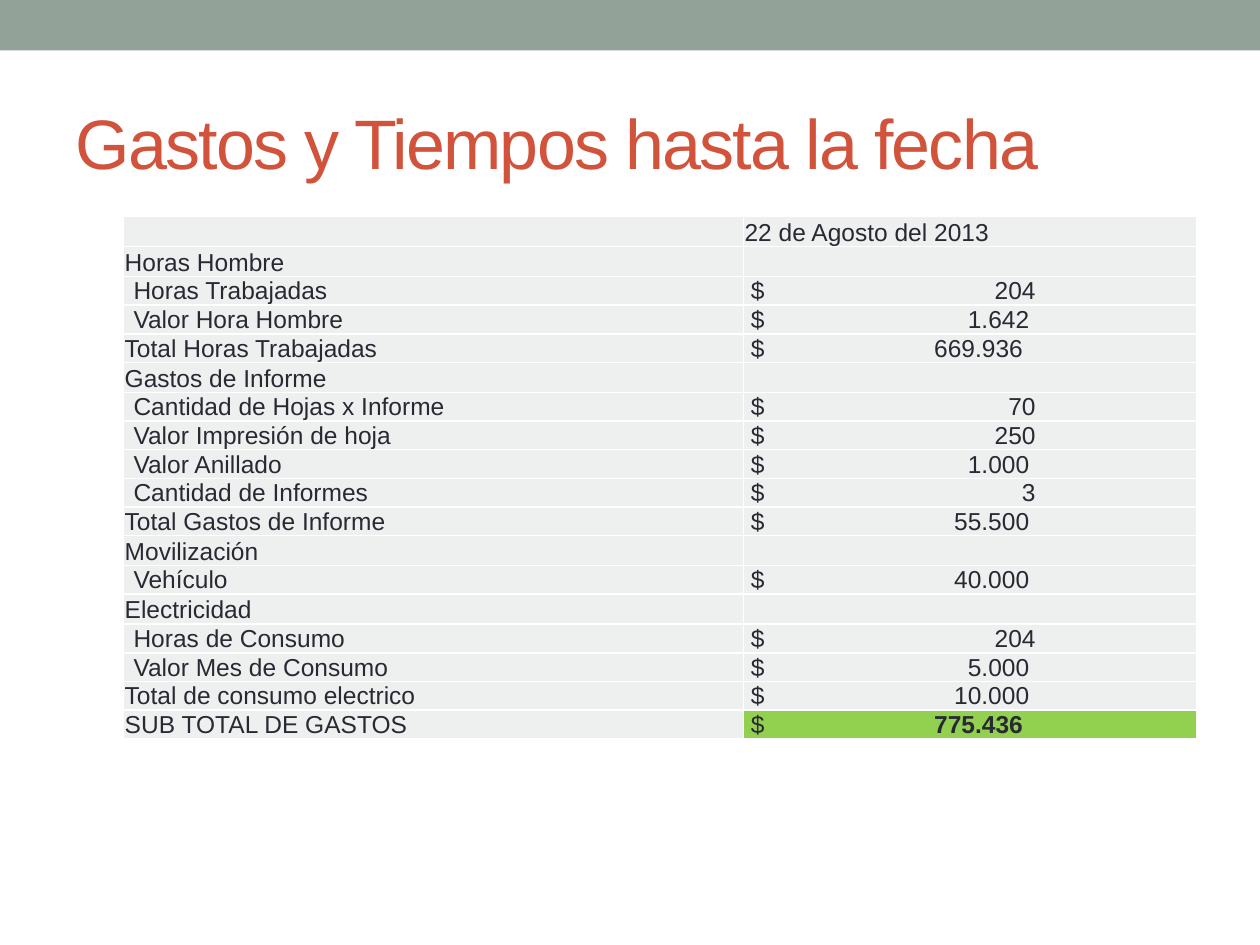
import pptx
import pptx.dml.color
import pptx.enum.shapes
import pptx.enum.text
import pptx.oxml.ns
import pptx.util
from lxml import etree

Inches = pptx.util.Inches
Pt = pptx.util.Pt
qn = pptx.oxml.ns.qn


def color(hex_string):
    return pptx.dml.color.RGBColor.from_string(hex_string)


class ExpenseSlide:
    font = "Arial"
    bar = "93A299"
    accent = "D2533C"
    ink = "292934"
    cell_fill = "EEF0EF"
    highlight = "92D050"
    border = "FFFFFF"
    size = 14

    def __init__(self, prs):
        self.slide = prs.slides.add_slide(prs.slide_layouts[5])

    def add_bar(self, left, top, width, height):
        sp = self.slide.shapes.add_shape(
            pptx.enum.shapes.MSO_SHAPE.RECTANGLE,
            Inches(left), Inches(top), Inches(width), Inches(height))
        sp.shadow.inherit = False
        sp.fill.solid()
        sp.fill.fore_color.rgb = color(self.bar)
        sp.line.fill.background()

    def add_run(self, p, text, size, hex_string, bold=False):
        r = p.add_run()
        r.text = text
        r.font.name = self.font
        r.font.size = Pt(size)
        r.font.bold = bold
        r.font.color.rgb = color(hex_string)
        return r

    def add_title(self, text, left, top, width, height):
        sp = self.slide.shapes.title
        sp.left, sp.top = Inches(left), Inches(top)
        sp.width, sp.height = Inches(width), Inches(height)
        tf = sp.text_frame
        tf.word_wrap = True
        tf.vertical_anchor = pptx.enum.text.MSO_ANCHOR.MIDDLE
        p = tf.paragraphs[0]
        p.alignment = pptx.enum.text.PP_ALIGN.LEFT
        r = self.add_run(p, text, 40, self.accent)
        r.font._element.set("spc", "-100")

    def style_cell(self, cell, fill, inset):
        cell.margin_left = Inches(inset)
        cell.margin_right = Inches(0.01)
        cell.margin_top = cell.margin_bottom = 0
        cell.vertical_anchor = pptx.enum.text.MSO_ANCHOR.BOTTOM
        tc_pr = cell._tc.get_or_add_tcPr()
        for side in ("a:lnL", "a:lnR", "a:lnT", "a:lnB"):
            ln = etree.SubElement(tc_pr, qn(side), w=str(Pt(1)))
            solid = etree.SubElement(ln, qn("a:solidFill"))
            etree.SubElement(solid, qn("a:srgbClr"), val=self.border)
        cell.fill.solid()
        cell.fill.fore_color.rgb = color(fill)

    def add_label(self, cell, text, inset=0.01):
        self.style_cell(cell, self.cell_fill, inset)
        p = cell.text_frame.paragraphs[0]
        if text:
            self.add_run(p, text, self.size, self.ink)
        else:
            # Keeps an empty row as low as the others
            etree.SubElement(p._p, qn("a:endParaRPr"), sz=str(self.size * 100))

    def add_amount(self, cell, value, total=False):
        self.style_cell(cell, self.highlight if total else self.cell_fill, 0.06)
        p = cell.text_frame.paragraphs[0]
        # Longer amounts end a little further left
        stop = 2.26 if len(value) <= 3 else 2.21 if len(value) <= 6 else 2.16
        tabs = etree.SubElement(p._p.get_or_add_pPr(), qn("a:tabLst"))
        etree.SubElement(tabs, qn("a:tab"), pos=str(Inches(stop)), algn="r")
        self.add_run(p, "$\t", self.size, self.ink)
        self.add_run(p, value, self.size, self.ink, bold=total)

    def add_expenses(self, date, rows, left, top, widths, height):
        frame = self.slide.shapes.add_table(
            len(rows) + 1, len(widths), Inches(left), Inches(top),
            Inches(sum(widths)), Inches(height))
        table = frame.table
        table.first_row = table.horz_banding = False
        for column, width in zip(table.columns, widths):
            column.width = Inches(width)
        self.add_label(table.cell(0, 0), "")
        self.add_label(table.cell(0, 1), date)
        for i, (kind, label, value) in enumerate(rows, 1):
            self.add_label(table.cell(i, 0), label, 0.08 if kind == "item" else 0.01)
            if value:
                self.add_amount(table.cell(i, 1), value, kind == "grand")
            else:
                self.add_label(table.cell(i, 1), "")


ROWS = [
    ("group", "Horas Hombre", ""),
    ("item", "Horas Trabajadas", "204"),
    ("item", "Valor Hora Hombre", "1.642"),
    ("total", "Total Horas Trabajadas", "669.936"),
    ("group", "Gastos de Informe", ""),
    ("item", "Cantidad de Hojas x Informe", "70"),
    ("item", "Valor Impresión de hoja", "250"),
    ("item", "Valor Anillado", "1.000"),
    ("item", "Cantidad de Informes", "3"),
    ("total", "Total Gastos de Informe", "55.500"),
    ("group", "Movilización", ""),
    ("item", "Vehículo", "40.000"),
    ("group", "Electricidad", ""),
    ("item", "Horas de Consumo", "204"),
    ("item", "Valor Mes de Consumo", "5.000"),
    ("total", "Total de consumo electrico", "10.000"),
    ("grand", "SUB TOTAL DE GASTOS", "775.436"),
]


def main():
    prs = pptx.Presentation()
    prs.slide_width, prs.slide_height = Inches(10), Inches(7.5)
    page = ExpenseSlide(prs)

    # Header band and title
    page.add_bar(0, 0, 10, 0.4)
    page.add_title("Gastos y Tiempos hasta la fecha", 0.5, 0.58, 9, 1.08)

    # Expense table
    page.add_expenses("22 de Agosto del 2013", ROWS, 0.98, 1.72, (4.92, 3.6), 4.1)

    prs.save("out.pptx")


if __name__ == "__main__":
    main()
